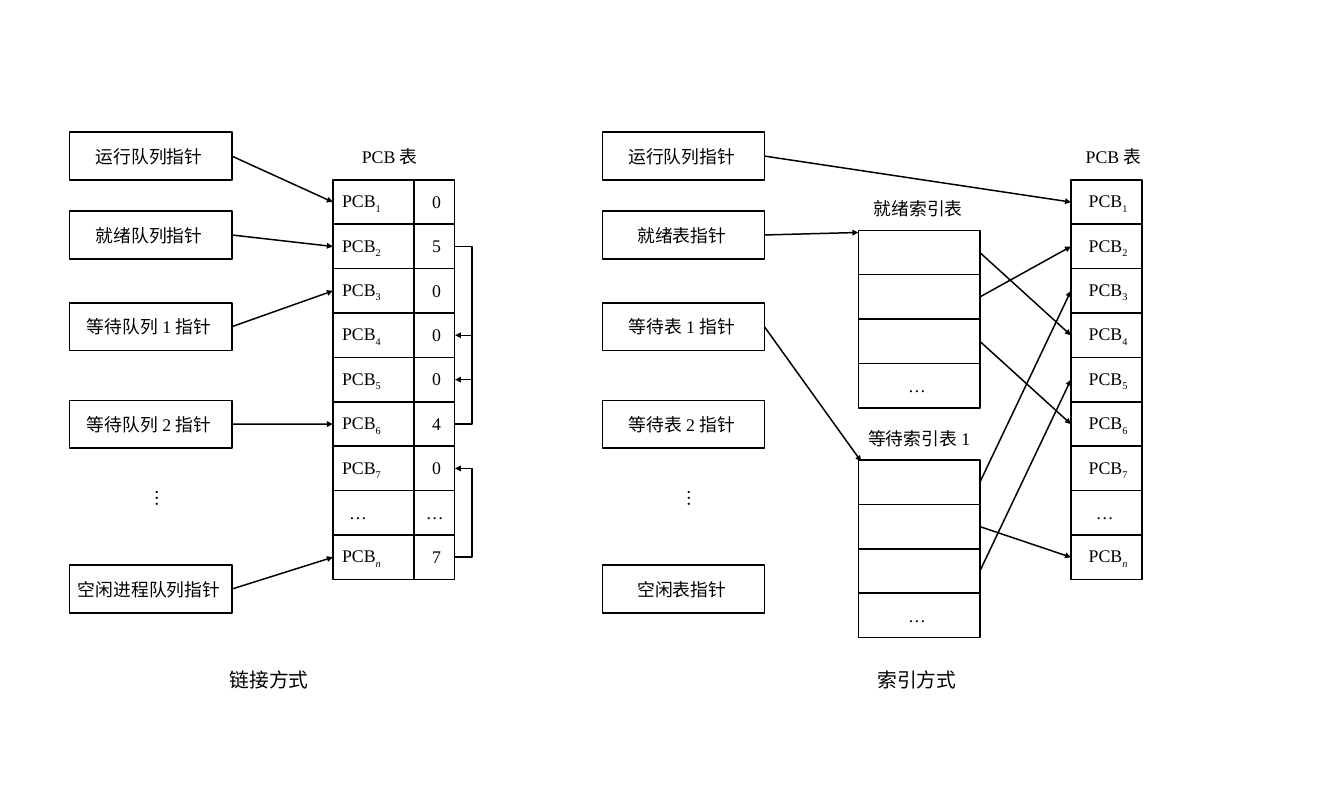
import itertools

import pptx
import pptx.dml.color
import pptx.enum.shapes
import pptx.enum.text
import pptx.util
from lxml import etree
from pptx.oxml.ns import qn
from pptx.util import Inches

BLACK = "000000"
CHINESE_FONT = "Noto Sans CJK SC"
LATIN_FONT = "Times New Roman"
ROW_HEIGHT = 5.62 / 9
LEFT, RIGHT = 1, 3
ALIGN = pptx.enum.text.PP_ALIGN
CONNECTOR = pptx.enum.shapes.MSO_CONNECTOR

POINTER_TOPS = [1.86, 2.97, 4.26, 5.63, 7.95]
QUEUE_POINTERS = ["运行队列指针", "就绪队列指针", "等待队列1指针", "等待队列2指针", "空闲进程队列指针"]
TABLE_POINTERS = ["运行队列指针", "就绪表指针", "等待表1指针", "等待表2指针", "空闲表指针"]
PCB_SUBSCRIPTS = ["1", "2", "3", "4", "5", "6", "7", "…", "n"]
PCB_LINKS = ["0", "5", "0", "0", "0", "4", "0", "…", "7"]


def color(hex_string):
    return pptx.dml.color.RGBColor.from_string(hex_string)


def add_run(paragraph, text, size, font, subscript=False):
    run = paragraph.add_run()
    run.text = text
    run.font.size = pptx.util.Pt(size)
    run.font.name = font
    run.font.color.rgb = color(BLACK)
    properties = run._r.get_or_add_rPr()
    etree.SubElement(properties, qn("a:ea"), typeface=font)
    if subscript:
        run.font.italic = text == "n"
        properties.set("baseline", "-25000")


def write_text(frame, text, size=18, subscript="", align=ALIGN.LEFT, font=None):
    """Set Chinese and Latin stretches in their own fonts."""
    frame.word_wrap = True
    paragraph = frame.paragraphs[0]
    paragraph.alignment = align
    for chinese, letters in itertools.groupby(text, lambda letter: letter >= "一"):
        add_run(paragraph, "".join(letters), size,
                font or (CHINESE_FONT if chinese else LATIN_FONT))
    if subscript:
        add_run(paragraph, subscript, size, LATIN_FONT, subscript=True)


def add_label(slide, left, top, width, text, height=0.4, vertical=False, **style):
    box = slide.shapes.add_textbox(Inches(left), Inches(top), Inches(width), Inches(height))
    write_text(box.text_frame, text, **style)
    box.text_frame.auto_size = pptx.enum.text.MSO_AUTO_SIZE.SHAPE_TO_FIT_TEXT
    if vertical:
        box.text_frame._txBody.bodyPr.set("vert", "eaVert")
    return box


def add_box(slide, left, top, width, height, text="", inset=0.05, right_inset=0, **style):
    box = slide.shapes.add_shape(pptx.enum.shapes.MSO_SHAPE.RECTANGLE, Inches(left),
                                 Inches(top), Inches(width), Inches(height))
    box.shadow.inherit = False
    box.fill.background()
    box.line.color.rgb = color(BLACK)
    box.line.width = pptx.util.Pt(1.5)
    frame = box.text_frame
    frame.vertical_anchor = pptx.enum.text.MSO_ANCHOR.MIDDLE
    frame.margin_left, frame.margin_right = Inches(inset), Inches(right_inset)
    if text:
        write_text(frame, text, **style)
    return box


def add_line(slide, start, end, arrow=True, kind=CONNECTOR.STRAIGHT):
    """Each end is either a point in inches or a (shape, side) pair to join."""
    points = [(0, 0) if hasattr(spot[0], "shape_id") else spot for spot in (start, end)]
    line = slide.shapes.add_connector(
        kind, *(Inches(value) for point in points for value in point))
    if hasattr(start[0], "shape_id"):
        line.begin_connect(*start)
    if hasattr(end[0], "shape_id"):
        line.end_connect(*end)
    line.line.color.rgb = color(BLACK)
    line.line.width = pptx.util.Pt(1.5)
    if arrow:
        etree.SubElement(line.line._get_or_add_ln(), qn("a:tailEnd"), type="triangle")
    etree.SubElement(line._element.spPr, qn("a:effectLst"))
    return line


def add_link(slide, right, start_y, end_y, reach=0.25, step=0.01):
    """Bracket that leaves a row, runs beside the table and enters another row."""
    link = add_line(slide, (right, start_y), (right + step, end_y), kind=CONNECTOR.ELBOW)
    adjustments = link._element.spPr.find(qn("a:prstGeom")).get_or_add_avLst()
    etree.SubElement(adjustments, qn("a:gd"), name="adj1",
                     fmla=f"val {round(reach / step * 100000)}")


def add_pointers(slide, left, names):
    boxes = [add_box(slide, left, top, 2.28, 0.67, name, right_inset=0.1, align=ALIGN.CENTER)
             for top, name in zip(POINTER_TOPS, names)]
    add_label(slide, left + 0.93, 6.79, 0.5, "…", height=0.72, vertical=True,
              font=CHINESE_FONT)
    return boxes


def add_pcb_table(slide, left, width, title_left, inset):
    add_label(slide, title_left, 2, 1.43, "PCB表")
    rows = []
    for index, subscript in enumerate(PCB_SUBSCRIPTS):
        top = 2.53 + index * ROW_HEIGHT
        if subscript == "…":
            rows.append(add_box(slide, left, top, width, ROW_HEIGHT, "…", inset=inset + 0.1))
        else:
            rows.append(add_box(slide, left, top, width, ROW_HEIGHT, "PCB",
                                inset=inset, subscript=subscript))
    return rows


def add_index_table(slide, title, title_left, top):
    add_label(slide, title_left, top - 0.51, 1.71, title)
    return [add_box(slide, 12.07, top + index * ROW_HEIGHT, 1.71, ROW_HEIGHT, text, inset=0.7)
            for index, text in enumerate(["", "", "", "…"])]


def add_linked_scheme(slide):
    pointers = add_pointers(slide, 0.98, QUEUE_POINTERS)
    rows = add_pcb_table(slide, 4.68, 1.71, 4.99, inset=0.13)

    # Link column
    for index, link in enumerate(PCB_LINKS):
        add_label(slide, 5.89 if link == "…" else 5.98, 2.63 + index * ROW_HEIGHT, 0.41, link)
    add_line(slide, (5.82, 2.53), (5.82, 8.15), arrow=False)

    # Links between rows, then pointers to the head of each queue
    for start, end in [(8, 6), (5, 3), (1, 4)]:
        start_y, end_y = (2.53 + (row + 0.5) * ROW_HEIGHT for row in (start, end))
        add_link(slide, 6.39, start_y, end_y)
    for pointer, row in zip(pointers, [0, 1, 2, 5, 8]):
        add_line(slide, (pointer, RIGHT), (rows[row], LEFT))
    add_label(slide, 3.13, 9.34, 1.45, "链接方式", height=0.44, size=20)


def add_indexed_scheme(slide):
    pointers = add_pointers(slide, 8.47, TABLE_POINTERS)
    rows = add_pcb_table(slide, 15.06, 1, 15.17, inset=0.25)
    ready = add_index_table(slide, "就绪索引表", 12.19, 3.24)
    waiting = add_index_table(slide, "等待索引表1", 12.11, 6.47)

    # Pointers to the running process and to the index tables
    add_line(slide, (pointers[0], RIGHT), (rows[0], LEFT))
    add_line(slide, (pointers[1], RIGHT), (12.07, 3.27))
    add_line(slide, (pointers[2], RIGHT), (12.11, 6.49))

    # Index entries to the processes
    for entry, row in zip(ready[:3] + waiting[:3], [3, 1, 5, 2, 8, 4]):
        add_line(slide, (entry, RIGHT), (rows[row], LEFT))
    add_label(slide, 12.24, 9.34, 1.45, "索引方式", height=0.44, size=20)


def main():
    presentation = pptx.Presentation()
    presentation.slide_width = Inches(18.9)
    presentation.slide_height = Inches(11.42)
    slide = presentation.slides.add_slide(presentation.slide_layouts[6])
    add_linked_scheme(slide)
    add_indexed_scheme(slide)
    presentation.save("out.pptx")


if __name__ == "__main__":
    main()
